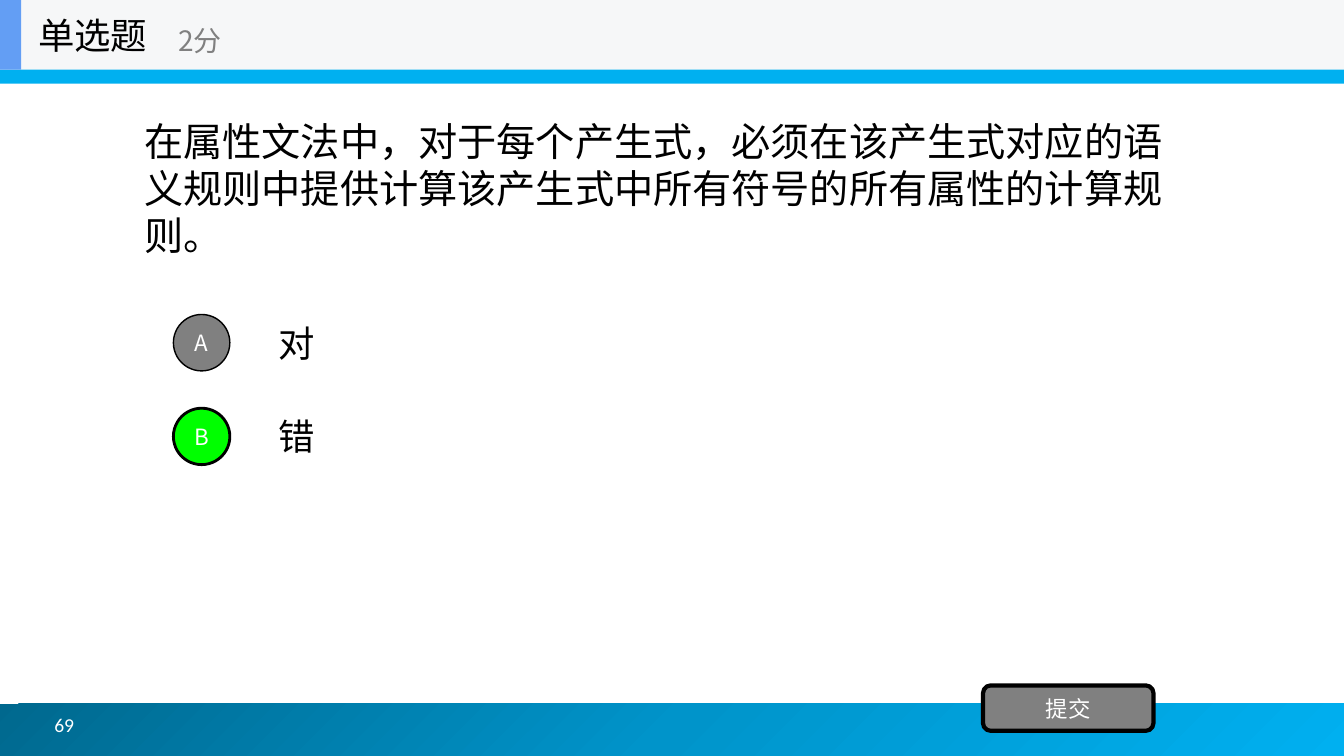
from copy import deepcopy

from lxml import etree
from pptx import Presentation
from pptx.dml.color import RGBColor
from pptx.enum.shapes import MSO_SHAPE as Preset
from pptx.enum.text import MSO_ANCHOR as Anchor, PP_ALIGN as Align
from pptx.oxml.ns import qn
from pptx.util import Inches, Pt

# Content
TITLE = "单选题"
SCORE = "2分"
QUESTION = ("在属性文法中，对于每个产生式，必须在该产生式对应的"
            "语义规则中提供计算该产生式中所有符号的所有属性的计算规则。")
SUBMIT = "提交"
PAGE_NUMBER = "69"

BLACK = RGBColor(0x00, 0x00, 0x00)
WHITE = RGBColor(0xFF, 0xFF, 0xFF)
GRAY = RGBColor(0x80, 0x80, 0x80)
GREEN = RGBColor(0x00, 0xFF, 0x00)
PALE = RGBColor(0xF6, 0xF7, 0xF8)
ACCENT = RGBColor(0x63, 0x9E, 0xF4)
SKY = RGBColor(0x00, 0xB0, 0xF0)
MID_BLUE = RGBColor(0x00, 0x94, 0xCA)
DEEP_BLUE = RGBColor(0x00, 0x68, 0x8E)

# Letter, wording, badge fill, badge outline width
OPTIONS = [("A", "对", GRAY, 1), ("B", "错", GREEN, 2)]

# Layout in inches
WIDTH, HEIGHT = 13.33, 7.5
HEADER = 0.69
FOOTER = 0.52
QUESTION_LEFT, QUESTION_WIDTH = WIDTH * 0.1, WIDTH * 0.8
OPTION_LEFT = WIDTH * 0.2
OPTION_TOP, OPTION_STEP, OPTION_HEIGHT = 3.05, 0.93, 0.7
BADGE_LEFT, BADGE = 1.72, 0.56
CJK = "Noto Sans CJK SC"

presentation = Presentation()
presentation.slide_width = Inches(WIDTH)
presentation.slide_height = Inches(HEIGHT)
slide = presentation.slides.add_slide(presentation.slide_layouts[6])


def write(shape, text, size, color, font=CJK, align=Align.LEFT):
    frame = shape.text_frame
    frame.text = text
    frame.word_wrap = True
    frame.vertical_anchor = Anchor.MIDDLE
    paragraph = frame.paragraphs[0]
    paragraph.alignment = align
    run = paragraph.runs[0]
    run.font.size = Pt(size)
    run.font.name = font
    run.font.color.rgb = color
    latin = run.font._element.find(qn("a:latin"))
    east_asian = etree.Element(qn("a:ea"), typeface=CJK)
    latin.addnext(east_asian)


def add_text(box, text, size, color, font=CJK):
    shape = slide.shapes.add_textbox(*map(Inches, box))
    write(shape, text, size, color, font)


def add_block(preset, box, fill, outline=0):
    shape = slide.shapes.add_shape(preset, *map(Inches, box))
    shape.shadow.inherit = False
    shape.fill.solid()
    shape.fill.fore_color.rgb = fill
    if outline:
        shape.line.color.rgb = BLACK
        shape.line.width = Pt(outline)
    else:
        shape.line.fill.background()
    return shape


def add_button(preset, box, text, fill, outline):
    shape = add_block(preset, box, fill, outline)
    frame = shape.text_frame
    frame.margin_left = frame.margin_right = 0
    frame.margin_top = frame.margin_bottom = 0
    write(shape, text, 16, WHITE, align=Align.CENTER)


# Footer band with a three-stop gradient
footer = add_block(Preset.RECTANGLE, (-0.05, HEIGHT - FOOTER, 13.39, FOOTER), SKY)
footer.fill.gradient()
footer.fill.gradient_angle = 315
first_stop = footer.fill.gradient_stops[0]._gs
middle_stop = deepcopy(first_stop)
first_stop.addnext(middle_stop)
for stop, (position, color) in zip(
        footer.fill.gradient_stops, [(0, DEEP_BLUE), (0.5, MID_BLUE), (1, SKY)]):
    stop.position = position
    stop.color.rgb = color
add_text((0.44, 6.94, 2.89, 0.5), PAGE_NUMBER, 14, WHITE, "Calibri")

# Header
add_block(Preset.RECTANGLE, (-0.02, 0.02, 13.36, 0.81), SKY)
add_block(Preset.RECTANGLE, (0, 0, WIDTH, HEADER), PALE)
add_block(Preset.RECTANGLE, (0, 0, 0.21, HEADER), ACCENT)
add_text((0.28, 0, 2.08, HEADER), TITLE, 26, BLACK)
add_text((1.67, 0.12, 2.5, 0.56), SCORE, 20, GRAY)

# Question and options
add_text((QUESTION_LEFT, HEADER, QUESTION_WIDTH, 2.34), QUESTION, 28, BLACK, "Arial")
for row, (letter, wording, fill, outline) in enumerate(OPTIONS):
    top = OPTION_TOP + row * OPTION_STEP
    badge_top = top + (OPTION_HEIGHT - BADGE) / 2
    add_text((OPTION_LEFT, top, WIDTH * 0.7, OPTION_HEIGHT), wording, 26, BLACK)
    add_button(Preset.OVAL, (BADGE_LEFT, badge_top, BADGE, BADGE), letter, fill, outline)

# Submit button
add_button(Preset.ROUNDED_RECTANGLE, (9.75, 6.8, 1.69, 0.45), SUBMIT, GRAY, 3)

presentation.save("out.pptx")
